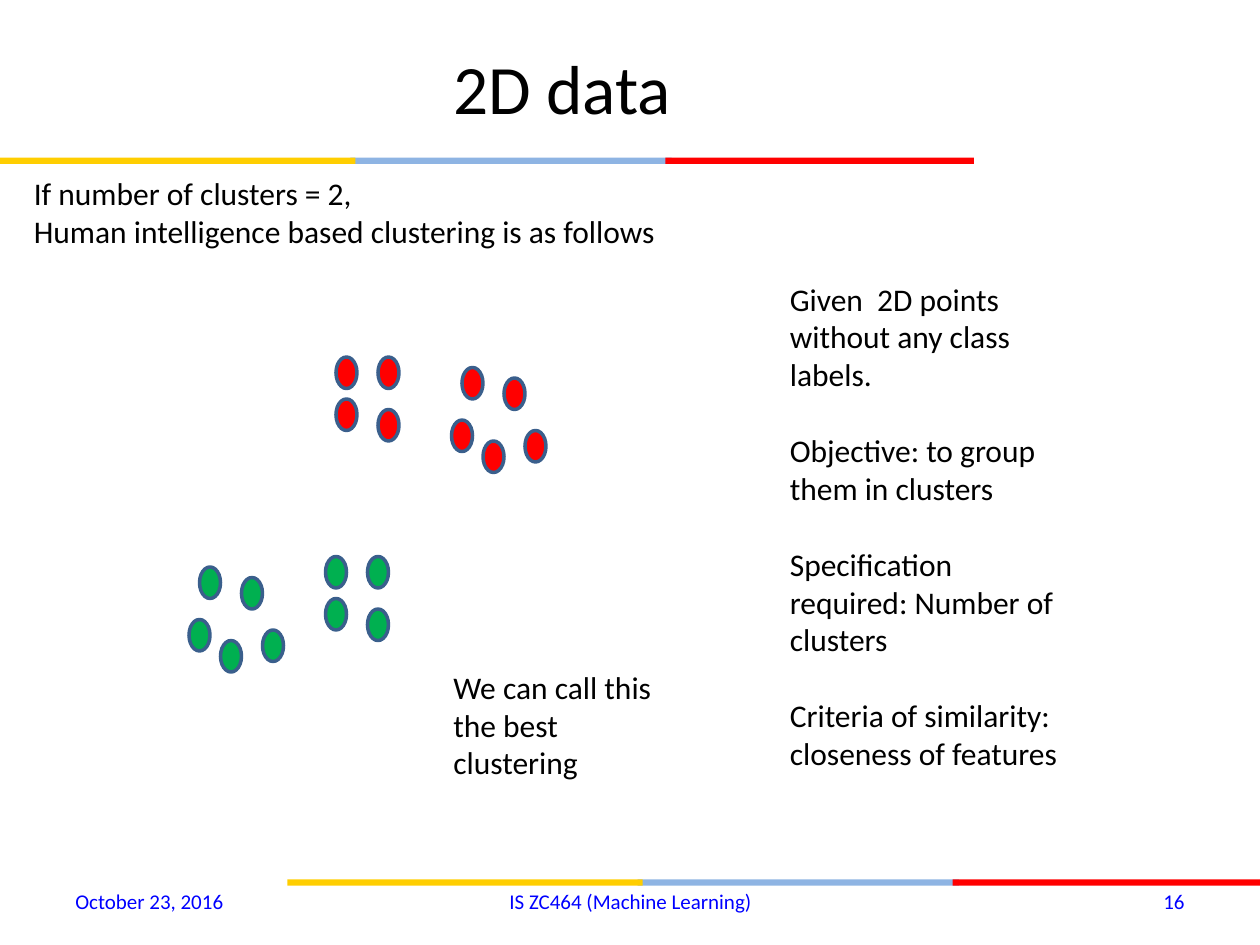
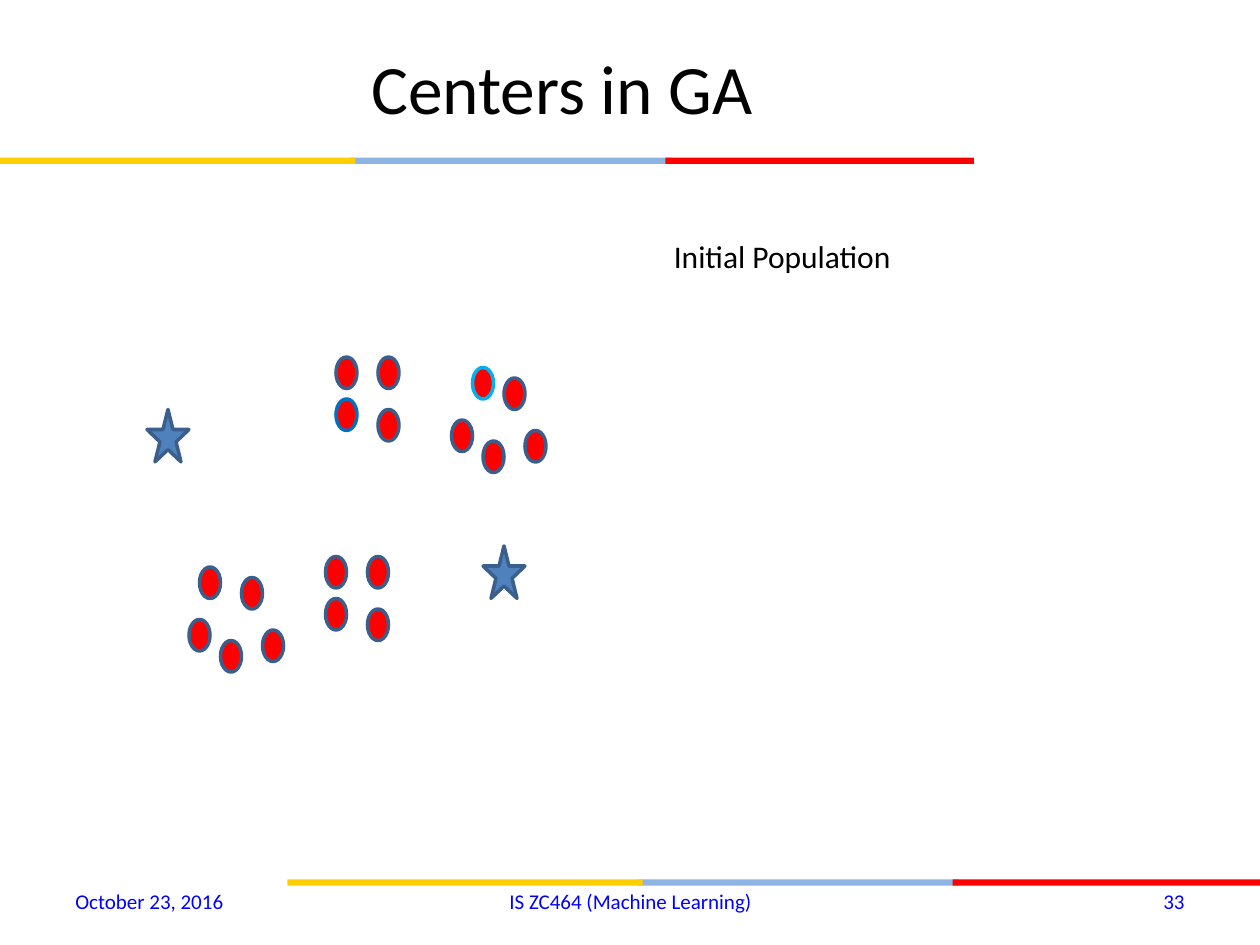
import pptx
import pptx.dml.color
import pptx.enum.shapes
import pptx.enum.text
import pptx.util

Inches = pptx.util.Inches
Pt = pptx.util.Pt
Shape = pptx.enum.shapes.MSO_SHAPE
Align = pptx.enum.text.PP_ALIGN
Anchor = pptx.enum.text.MSO_ANCHOR
AutoSize = pptx.enum.text.MSO_AUTO_SIZE

BLACK, BLUE, RED, GREEN = "000000", "0000FF", "FF0000", "00B050"
OUTLINE, STAR_FILL = "3A5F8C", "4F81BD"
BANDS = [(2.78, 2.55, "8EB4E3"), (5.28, 2.45, RED), (0, 2.82, "FFCE00")]
GRID = 1 / 12
SQUARE = [(0, 0), (4, 0), (0, 4), (4, 5)]
ARC = [(0, 5), (1, 0), (5, 1), (3, 7), (7, 6)]
UPPER_CLUSTERS = [(32, 34, SQUARE), (43, 35, ARC)]
LOWER_CLUSTERS = [(31, 53, SQUARE), (18, 54, ARC)]


def color(value):
    """Turn a hex string into a colour."""
    return pptx.dml.color.RGBColor.from_string(value)


def write(frame, text, size=18, fill=BLACK, align=Align.LEFT, gap=0):
    """Write each line of the text as a formatted paragraph."""
    for index, line in enumerate(text.split("\n")):
        paragraph = frame.paragraphs[0] if index == 0 else frame.add_paragraph()
        paragraph.alignment = align
        if index and gap:
            paragraph.space_before = Pt(gap)
        run = paragraph.add_run()
        run.text = line
        run.font.name = "Calibri"
        run.font.size = Pt(size)
        run.font.color.rgb = color(fill)


class Deck:
    """Hold the shared style and the current slide."""

    def __init__(self):
        """Start an empty presentation."""
        self.presentation = pptx.Presentation()
        self.presentation.slide_width = Inches(10)
        self.presentation.slide_height = Inches(7.5)
        self.slide = None

    def add_slide(self, title, number):
        """Add a slide with its bands, title and footer."""
        self.slide = self.presentation.slides.add_slide(self.presentation.slide_layouts[6])
        for offset, top in [(0, 1.25), (2.28, 6.98)]:
            for left, width, fill in BANDS:
                self.shape(Shape.RECTANGLE, left + offset, top, width, 0.05, fill)
        self.text(title, 0.5, 0.3, 7.92, 0.78, anchor=Anchor.MIDDLE,
                  size=39.6, align=Align.CENTER)
        for label, left, width, align in [
            ("October 23, 2016", 0.5, 2.33, Align.LEFT),
            ("IS ZC464 (Machine Learning)", 3.42, 3.17, Align.CENTER),
            (str(number), 7.17, 2.33, Align.RIGHT),
        ]:
            self.text(label, left, 6.95, width, 0.4, anchor=Anchor.MIDDLE,
                      size=12, fill=BLUE, align=align)

    def text(self, text, left, top, width, height, anchor=Anchor.TOP,
             wrap=True, grow=False, **style):
        """Add a text box."""
        box = self.slide.shapes.add_textbox(
            Inches(left), Inches(top), Inches(width), Inches(height))
        frame = box.text_frame
        frame.word_wrap = wrap
        frame.vertical_anchor = anchor
        frame.auto_size = AutoSize.SHAPE_TO_FIT_TEXT if grow else AutoSize.NONE
        write(frame, text, **style)

    def shape(self, kind, left, top, width, height, fill, line=None, shapes=None):
        """Add a filled shape to the slide or to the given group's shapes."""
        shapes = self.slide.shapes if shapes is None else shapes
        shape = shapes.add_shape(
            kind, Inches(left), Inches(top), Inches(width), Inches(height))
        shape.shadow.inherit = False
        shape.fill.solid()
        shape.fill.fore_color.rgb = color(fill)
        if line:
            shape.line.color.rgb = color(line)
            shape.line.width = Pt(2)
        else:
            shape.line.fill.background()

    def marker(self, kind, column, row, columns, rows, fill, line=OUTLINE, shapes=None):
        """Add an outlined shape placed in grid units."""
        self.shape(kind, column * GRID, row * GRID, columns * GRID, rows * GRID,
                   fill, line, shapes)

    def clusters(self, clusters, fill, grouped=False, moved=None, outlines=None):
        """Add the data points of several clusters."""
        for left, top, offsets in clusters:
            shapes = self.slide.shapes.add_group_shape().shapes if grouped else None
            for column, row in offsets:
                point = (left + column, top + row)
                point = (moved or {}).get(point, point)
                line = (outlines or {}).get(point, OUTLINE)
                self.marker(Shape.OVAL, *point, 2, 3, fill, line, shapes)

    def star(self, column, row):
        """Add a star marking a cluster center."""
        self.marker(Shape.STAR_5_POINT, column, row, 4, 5, STAR_FILL)


def main():
    """Build both slides and save them."""
    deck = Deck()

    deck.add_slide("2D data", 16)
    deck.clusters(UPPER_CLUSTERS, RED, grouped=True)
    deck.clusters(LOWER_CLUSTERS, GREEN, grouped=True)
    deck.text("Given  2D points without any class labels.\n"
              "Objective: to group them in clusters\n"
              "Specification required: Number of clusters\n"
              "Criteria of similarity: closeness of features",
              6.17, 2.17, 2.42, 4.04, grow=True, gap=21.8)
    deck.text("If number of clusters = 2,\n"
              "Human intelligence based clustering is as follows",
              0.17, 1.33, 5.19, 0.71, wrap=False, grow=True)
    deck.text("We can call this the best clustering", 3.5, 5.25, 1.92, 1.01, grow=True)

    deck.add_slide("Centers in GA", 33)
    deck.clusters(UPPER_CLUSTERS + LOWER_CLUSTERS, RED, moved={(44, 35): (45, 35)},
                  outlines={(32, 38): "0070C0", (45, 35): "00B0F0"})
    deck.text("Initial Population", 5.25, 1.83, 3.67, 0.4, grow=True)
    deck.star(46, 52)
    deck.star(14, 39)

    deck.presentation.save("out.pptx")


if __name__ == "__main__":
    main()
